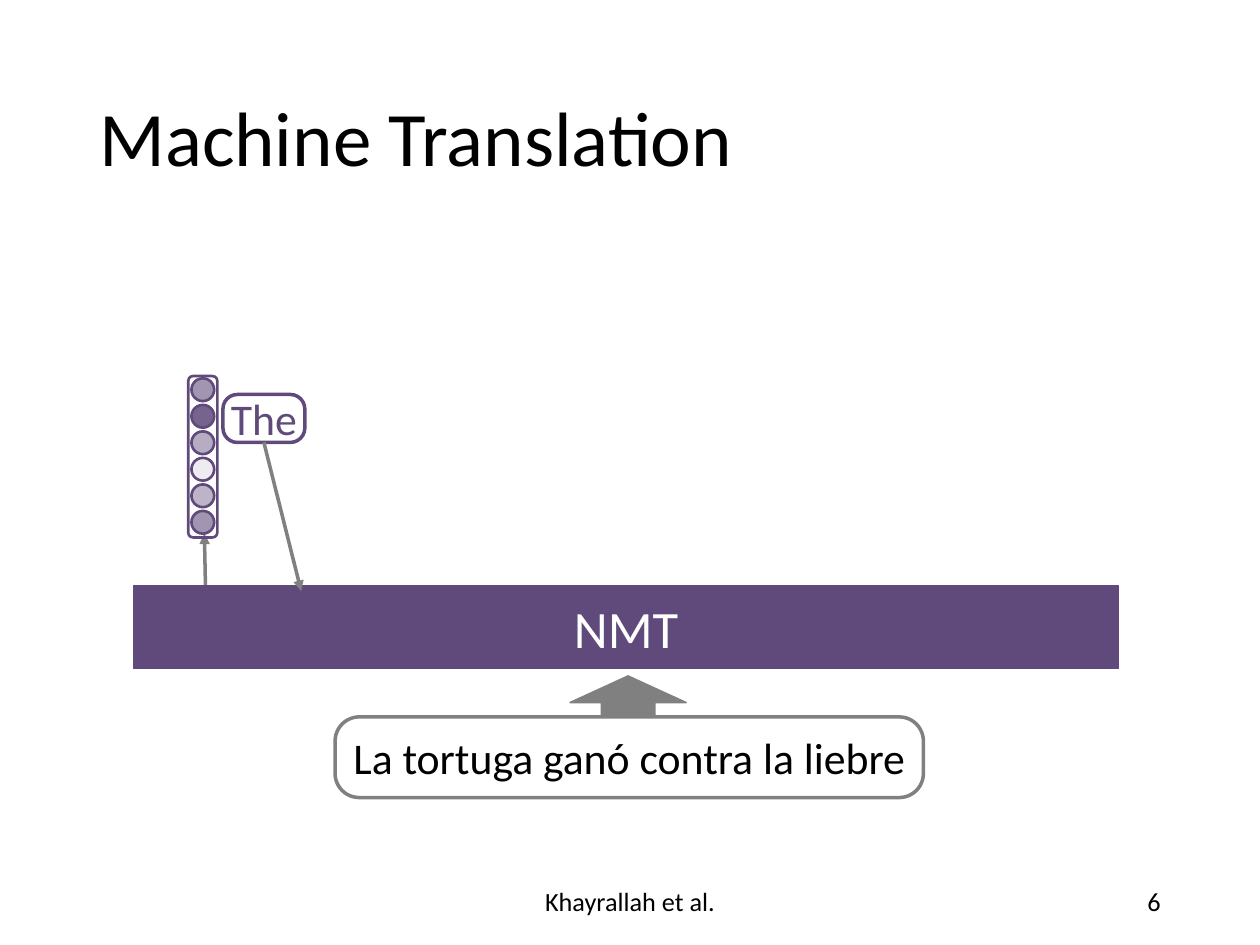
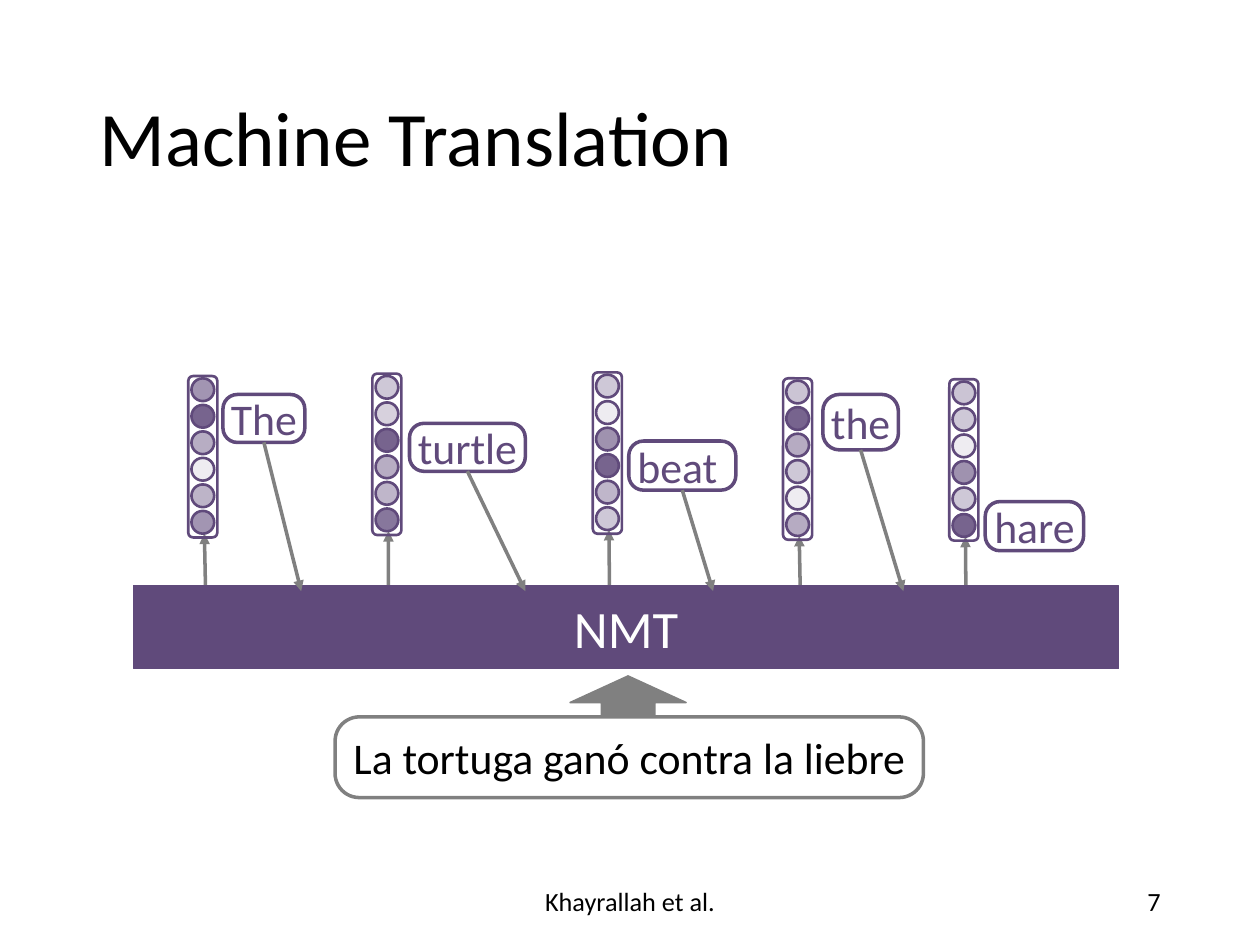
from dataclasses import dataclass

from lxml import etree
from pptx import Presentation
from pptx.dml.color import RGBColor
from pptx.enum import shapes as kinds, text as txt
from pptx.oxml.ns import qn
from pptx.util import Pt

PURPLE = RGBColor(0x60, 0x4A, 0x7B)
GREY = RGBColor(0x80, 0x80, 0x80)
BLACK = RGBColor(0, 0, 0)
WHITE = RGBColor(255, 255, 255)
FONT = "Calibri"
SHAPE = kinds.MSO_SHAPE
ALIGN = txt.PP_ALIGN

# Boxes shared by both slides: left, top, width, height
TITLE_BOX = (49.7, 28.8, 620.6, 104.4)
FOOTER_BOX = (238.3, 500.4, 243.4, 28.8)
NUMBER_BOX = (508.3, 500.4, 162, 28.8)
NMT_BOX = (76.3, 334.8, 563, 47.5)
SOURCE_BOX = (191.5, 409.7, 336.2, 46.1)
INPUT_ARROW_BOX = (325.8, 386.3, 66.2, 22.3)

# State column
STATE_WIDTH, STATE_HEIGHT = 16.6, 92.2
UNIT_SIZE, UNIT_PITCH = 13, 15.15
STEM_FOOT_Y = 368


@dataclass
class Step:
    """One decoding step: state column, emitted word, arrow back into the model."""
    word: str
    state_at: tuple     # left, top
    strengths: tuple    # opacity of each unit, percent
    word_box: tuple
    stem_foot_x: float
    feedback_x: float = None


STEPS = [
    Step("The", (107.6, 214.9), (58, 85, 45, 10, 41, 58),
         (127.4, 225.4, 46.8, 27.4), 118.1, 172.1),
    Step("turtle", (212.8, 213.5), (30, 25, 85, 45, 40, 75),
         (234, 241.9, 66.2, 27.4), 221.8, 300.2),
    Step("beat ", (338.8, 212.8), (30, 10, 60, 85, 40, 30),
         (359.3, 252, 61.2, 28.1), 348.5, 407.5),
    Step("the", (447.5, 216.2), (32, 85, 46, 30, 10, 46),
         (470.2, 225.4, 43.2, 31.7), 457.9, 516.2),
    Step("hare ", (542.5, 216.7), (32, 30, 10, 60, 30, 85),
         (563, 286.6, 56.2, 28.1), 552.2),
]


def points(values):
    return [Pt(value) for value in values]


def write(shape, content, size, color, align, insets=(7.2, 3.6)):
    """Put one vertically centred line of text into a shape."""
    frame = shape.text_frame
    frame.word_wrap = True
    frame.vertical_anchor = txt.MSO_ANCHOR.MIDDLE
    frame.margin_left = frame.margin_right = Pt(insets[0])
    frame.margin_top = frame.margin_bottom = Pt(insets[1])
    line = frame.paragraphs[0]
    line.text = content
    line.alignment = align
    font = line.runs[0].font
    font.name, font.size, font.color.rgb = FONT, Pt(size), color
    return line


def label(slide, box, content, size, align):
    return write(slide.shapes.add_textbox(*points(box)), content, size, BLACK, align)


def outline(parent, kind, box, line_color, line_width, fill=None, opacity=100):
    shape = parent.shapes.add_shape(kind, *points(box))
    shape.shadow.inherit = False
    shape.line.color.rgb = line_color
    shape.line.width = Pt(line_width)
    if fill is None:
        shape.fill.background()
        return shape
    shape.fill.solid()
    shape.fill.fore_color.rgb = fill
    if opacity < 100:
        color = shape.fill._xPr.find(qn("a:solidFill"))[0]
        etree.SubElement(color, qn("a:alpha")).set("val", str(opacity * 1000))
    return shape


def bubble(slide, box, content, color, text_color, insets):
    shape = outline(slide, SHAPE.ROUNDED_RECTANGLE, box, color, 2)
    shape.adjustments[0] = 0.3
    write(shape, content, 25, text_color, ALIGN.CENTER, insets)


def arrow(slide, start, end):
    connector = slide.shapes.add_connector(
        kinds.MSO_CONNECTOR.STRAIGHT, *points(start + end))
    connector.line.color.rgb = GREY
    connector.line.width = Pt(2)
    line = connector.line._get_or_add_ln()
    etree.SubElement(line, qn("a:tailEnd")).set("type", "triangle")
    etree.SubElement(connector._element.spPr, qn("a:effectLst"))


def state_stem(slide, step):
    left, top = step.state_at
    arrow(slide, (step.stem_foot_x, STEM_FOOT_Y), (left + 9.2, top + 90))


def state_column(slide, step):
    left, top = step.state_at
    column = slide.shapes.add_group_shape()
    outline(column, SHAPE.ROUNDED_RECTANGLE,
            (left, top, STATE_WIDTH, STATE_HEIGHT), PURPLE, 1.5)
    unit_left = left + (STATE_WIDTH - UNIT_SIZE) / 2
    for row, strength in enumerate(step.strengths):
        unit_box = (unit_left, top + 1.3 + row * UNIT_PITCH, UNIT_SIZE, UNIT_SIZE)
        outline(column, SHAPE.OVAL, unit_box, PURPLE, 1.5, PURPLE, strength)


def emitted_word(slide, step):
    left, top, width, height = step.word_box
    bubble(slide, step.word_box, step.word, PURPLE, PURPLE, (0, 0))
    if step.feedback_x is not None:
        arrow(slide, (left + width / 2, top + height),
              (step.feedback_x, NMT_BOX[1] + 3))


def model_band(slide, box):
    band = outline(slide, SHAPE.RECTANGLE, box, PURPLE, 0.5, PURPLE)
    write(band, "NMT", 30, WHITE, ALIGN.CENTER)


def source_sentence(slide, box, arrow_box):
    bubble(slide, box, "La tortuga ganó contra la liebre", GREY, BLACK, (0, 3.6))
    input_arrow = outline(slide, SHAPE.UP_ARROW, arrow_box, GREY, 1, GREY)
    input_arrow.adjustments[0] = 0.46
    input_arrow.adjustments[1] = 0.68


def translation_slide(deck, number, steps):
    slide = deck.slides.add_slide(deck.slide_layouts[6])
    # Title and footer
    title = label(slide, TITLE_BOX, "Machine Translation", 44, ALIGN.LEFT)
    title.line_spacing = 0.9
    label(slide, FOOTER_BOX, "Khayrallah et al.", 15, ALIGN.CENTER)
    label(slide, NUMBER_BOX, str(number), 15, ALIGN.RIGHT)
    # The band covers the feet of the stems
    for step in steps:
        state_stem(slide, step)
    model_band(slide, NMT_BOX)
    for step in steps:
        state_column(slide, step)
        emitted_word(slide, step)
    source_sentence(slide, SOURCE_BOX, INPUT_ARROW_BOX)


deck = Presentation()
deck.slide_width, deck.slide_height = Pt(720), Pt(540)
translation_slide(deck, 6, STEPS[:1])
translation_slide(deck, 7, STEPS)
deck.save("out.pptx")
